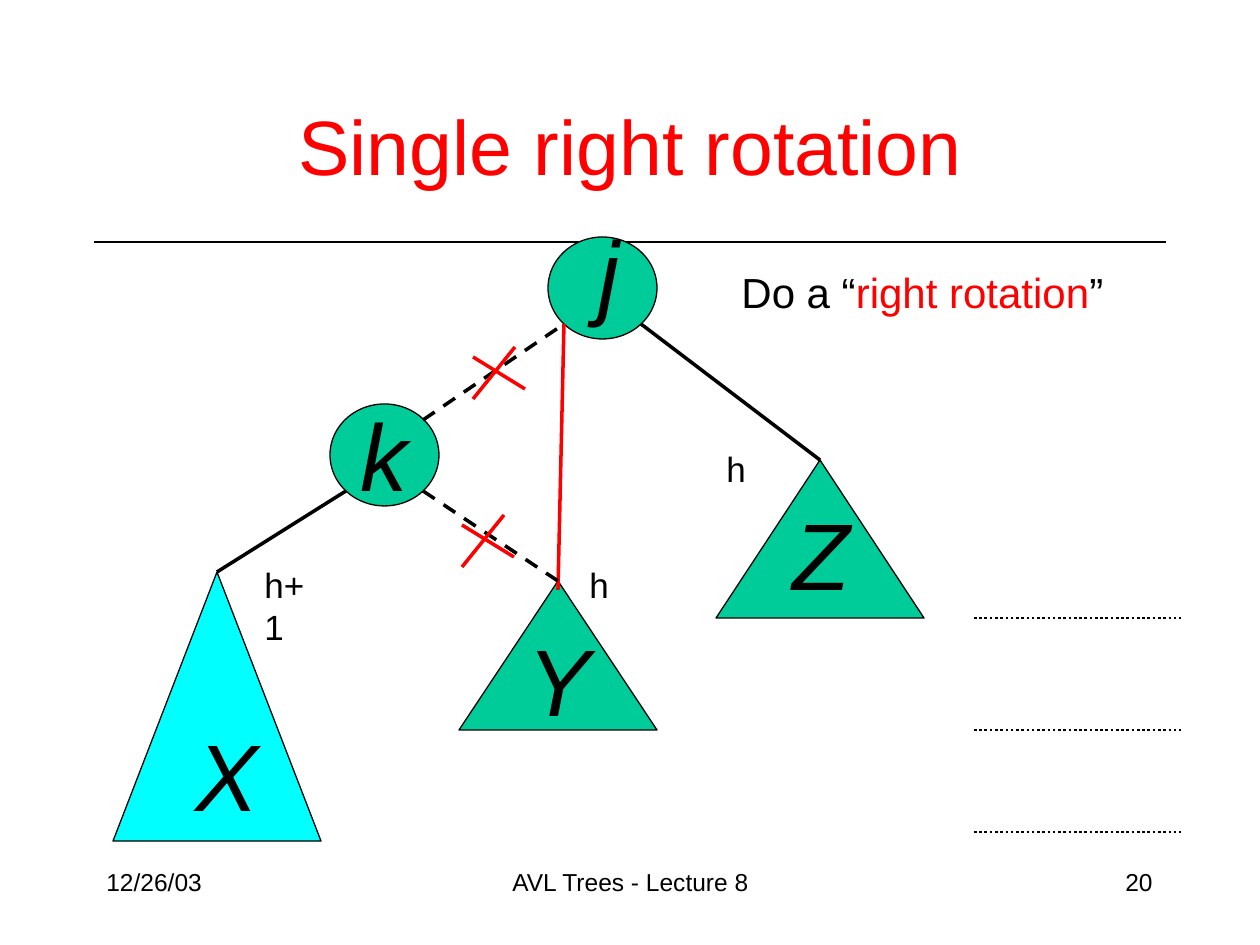
from lxml import etree
from pptx import Presentation
from pptx import util as u
from pptx.dml.color import RGBColor
from pptx.enum import dml, shapes, text
from pptx.oxml import ns

BLACK = RGBColor(0, 0, 0)
RED = RGBColor(255, 0, 0)
GREEN = RGBColor(0, 204, 153)
CYAN = RGBColor(0, 255, 255)
SCALE = u.Inches(1) / 126
OVAL = shapes.MSO_SHAPE.OVAL
PEAK = shapes.MSO_SHAPE.ISOSCELES_TRIANGLE
DASH = dml.MSO_LINE.DASH
DOT = dml.MSO_LINE.ROUND_DOT
MID = text.PP_ALIGN.CENTER
RIGHT = text.PP_ALIGN.RIGHT


def emu(*pixels):
    return [u.Emu(round(p * SCALE)) for p in pixels]


class Board:
    font = "Arial"

    def __init__(self, slide):
        self.items = slide.shapes

    def line(self, start, end, color=BLACK, width=2, dash=None):
        link = self.items.add_connector(
            shapes.MSO_CONNECTOR.STRAIGHT, *emu(*start, *end))
        link.line.color.rgb = color
        link.line.width = u.Pt(width)
        if dash:
            link.line.dash_style = dash
        etree.SubElement(link._element.spPr, ns.qn("a:effectLst"))

    def shape(self, kind, box, fill):
        form = self.items.add_shape(kind, *emu(*box))
        form.shadow.inherit = False
        form.fill.solid()
        form.fill.fore_color.rgb = fill
        form.line.color.rgb = BLACK
        form.line.width = u.Pt(0.75)

    def text(self, box, runs, size, align=None, wrap=True,
             italic=False, before=0, middle=False):
        frame = self.items.add_textbox(*emu(*box)).text_frame
        frame.word_wrap = wrap
        if middle:
            frame.vertical_anchor = text.MSO_ANCHOR.MIDDLE
        para = frame.paragraphs[0]
        para.alignment = align
        para.space_before = u.Pt(before)
        for words, color in runs:
            run = para.add_run()
            run.text = words
            run.font.name = self.font
            run.font.size = u.Pt(size)
            run.font.italic = italic
            run.font.color.rgb = color

    def node(self, kind, box, fill, name, spot):
        self.shape(kind, box, fill)
        self.text((*spot, 67, 126), [(name, BLACK)], 54,
                  italic=True, before=5)

    def cross(self, x, y):
        self.line((x, y), (x + 52, y + 32), RED)
        self.line((x + 42, y - 10), (x, y + 42), RED)


deck = Presentation()
deck.slide_width, deck.slide_height = u.Inches(10), u.Inches(7.5)
board = Board(deck.slides.add_slide(deck.slide_layouts[6]))

board.line((94, 242), (1166, 242), width=0.75)
for left, width, words, align in (
        (94, 262, "12/26/03", None),
        (431, 399, "AVL Trees - Lecture 8", MID),
        (903, 262, "20", RIGHT)):
    board.text((left, 861, width, 63), [(words, BLACK)], 14, align)

for kind, box, fill, name, spot in (
        (OVAL, (548, 237, 109, 102), GREEN, "j", (586, 208)),
        (OVAL, (330, 404, 109, 102), GREEN, "k", (348, 391)),
        (PEAK, (113, 572, 208, 269), CYAN, "X", (183, 711)),
        (PEAK, (459, 581, 198, 149), GREEN, "Y", (515, 616)),
        (PEAK, (716, 460, 208, 158), GREEN, "Z", (780, 490))):
    board.node(kind, box, fill, name, spot)

board.line((346, 491), (217, 572))
board.line((641, 324), (820, 460))
for y in (618, 730, 832):
    board.line((974, y), (1181, y), width=1.5, dash=DOT)

board.text((729, 260, 387, 63),
           [("Do a “", BLACK), ("right rotation", RED), ("”", BLACK)],
           24, wrap=False)
board.text((92, 89, 1077, 111), [("Single right rotation", RED)], 44,
           MID, middle=True)

board.line((564, 324), (558, 590), RED)
board.line((423, 420), (564, 324), dash=DASH)
board.cross(473, 357)
board.line((423, 491), (558, 581), dash=DASH)
board.cross(462, 525)

for left, top, width, words in (
        (714, 441, 45, "h"), (252, 557, 84, "h+1"), (577, 557, 45, "h")):
    board.text((left, top, width, 54), [(words, BLACK)], 20, wrap=False)

deck.save("out.pptx")
